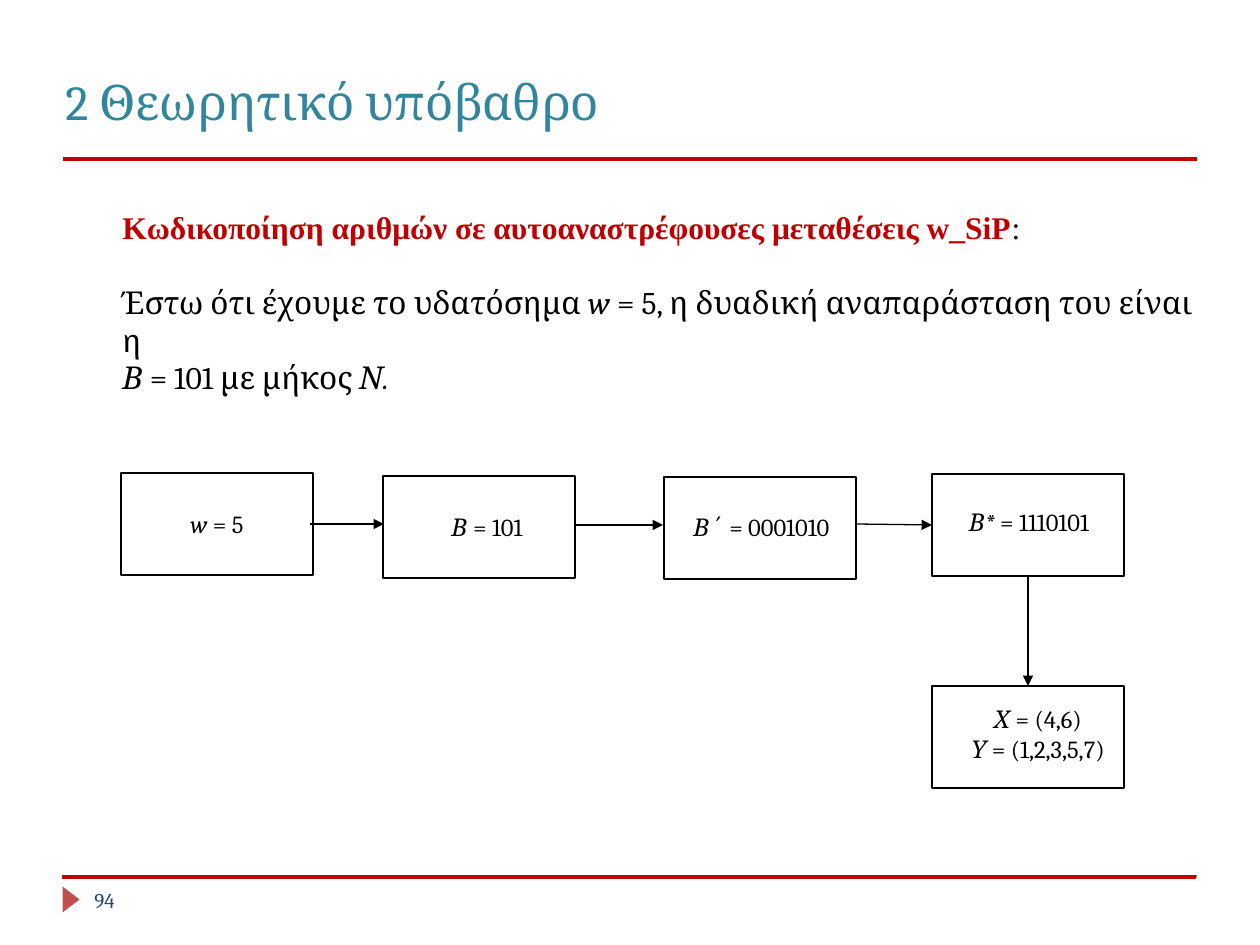
from lxml import etree
from pptx import Presentation
from pptx.dml.color import RGBColor
from pptx.enum.dml import MSO_LINE
from pptx.enum.shapes import MSO_CONNECTOR, MSO_SHAPE
from pptx.enum.text import MSO_ANCHOR, PP_ALIGN
from pptx.oxml.ns import qn
from pptx.util import Pt

PX = 914400 / 126
STRAIGHT = MSO_CONNECTOR.STRAIGHT
RECTANGLE, TRIANGLE = MSO_SHAPE.RECTANGLE, MSO_SHAPE.ISOSCELES_TRIANGLE
LEFT, CENTER, JUSTIFY = PP_ALIGN.LEFT, PP_ALIGN.CENTER, PP_ALIGN.JUSTIFY
TOP, BOTTOM = MSO_ANCHOR.TOP, MSO_ANCHOR.BOTTOM
DASH = MSO_LINE.DASH
BLACK, RED, BRICK, TEAL, NAVY = "000000", "C00000", "C0504D", "31859C", "1F497D"


def add_line(x1, y1, x2, y2, color, width, dash=None, arrow=False):
    ends = [round(value * PX) for value in (x1, y1, x2, y2)]
    connector = slide.shapes.add_connector(STRAIGHT, *ends)
    connector.line.color.rgb = RGBColor.from_string(color)
    connector.line.width = Pt(width)
    if dash:
        connector.line.dash_style = dash
    if arrow:
        etree.SubElement(connector.line._get_or_add_ln(), qn("a:tailEnd"), type="triangle")
    etree.SubElement(connector._element.spPr, qn("a:effectLst"))


def add_text(box, paragraphs, size, color, align=LEFT, anchor=TOP, font="Cambria"):
    """Each paragraph is a list of (text, italic) runs; None is a line break."""
    left, top, width, height = [round(value * PX) for value in box]
    frame = slide.shapes.add_textbox(left, top, width, height).text_frame
    frame.word_wrap = True
    frame.vertical_anchor = anchor
    for index, runs in enumerate(paragraphs):
        paragraph = frame.paragraphs[0] if index == 0 else frame.add_paragraph()
        paragraph.alignment = align
        for part in runs:
            if part is None:
                paragraph.add_line_break()
                continue
            run = paragraph.add_run()
            run.text, run.font.italic = part
            run.font.name = font
            run.font.size = Pt(size)
            run.font.color.rgb = RGBColor.from_string(color)
    return frame


presentation = Presentation()
presentation.slide_width = round(1260 * PX)
presentation.slide_height = round(945 * PX)
slide = presentation.slides.add_slide(presentation.slide_layouts[6])

# Rules above and below the content
for y in (876, 158):
    add_line(63, y, 1197, y, BRICK, 0.75, dash=DASH)
add_line(63, 159, 1197, 159, RED, 2.25)
add_line(62, 877, 1196, 877, RED, 2.25)

# Title
add_text((53, 26, 1023, 111), [[("2 Θεωρητικό υπόβαθρο", False)]], 28, TEAL, anchor=BOTTOM)

# Page number and its marker
marker = slide.shapes.add_shape(TRIANGLE, *[round(value * PX) for value in (58, 891, 26, 17)])
marker.rotation = 90
marker.shadow.inherit = False
marker.fill.solid()
marker.fill.fore_color.rgb = RGBColor.from_string(BRICK)
marker.line.fill.background()
add_text((82, 881, 194, 34), [[("94", False)]], 12, NAVY)

# Introduction
intro = add_text((110, 202, 1095, 165), [
    [("Kωδικοποίηση αριθμών σε αυτοαναστρέφουσες μεταθέσεις w_SiP", False), (":", False)],
    [("Έστω ότι έχουμε το υδατόσημα ", False), ("w", True),
     (" = 5, η δυαδική αναπαράσταση του είναι η", False), None,
     ("Β", True), (" = 101 με μήκος ", False), ("Ν.", True)],
], 18, BLACK)
heading, statement = intro.paragraphs
for run, color in zip(heading.runs, (RED, "0D0D0D")):
    run.font.name = "Times New Roman"
    run.font.color.rgb = RGBColor.from_string(color)
heading.runs[0].font.bold = True
statement.alignment = JUSTIFY
statement.space_before = Pt(21)

# Encoding steps: box corner, label frame, label paragraphs
steps = [
    ((121, 473), (121, 503, 192, 43), [[("w", True), (" = 5", False)]]),
    ((383, 476), (377, 506, 220, 43), [[("Β ", True), ("= 101", False)]]),
    ((664, 477), (660, 506, 203, 43), [[("Β΄ ", True), ("= 0001010", False)]]),
    ((932, 474), (901, 501, 256, 43), [[("Β* ", True), ("= 1110101", False)]]),
    ((932, 686), (920, 698, 236, 72), [[("Χ ", True), ("= (4,6)", False)],
                                       [("Υ", True), (" = (1,2,3,5,7)", False)]]),
]
for (x, y), label_box, label in steps:
    step = slide.shapes.add_shape(RECTANGLE, *[round(value * PX) for value in (x, y, 192, 102)])
    step.shadow.inherit = False
    step.fill.background()
    step.line.color.rgb = RGBColor.from_string(BLACK)
    step.line.width = Pt(0.75)
    add_text(label_box, label, 14, BLACK, align=CENTER)

# Arrows between the steps
for ends in ((310, 524, 384, 524), (575, 525, 663, 525),
             (856, 524, 932, 525), (1028, 576, 1028, 686)):
    add_line(*ends, BLACK, 0.75, arrow=True)

presentation.save("out.pptx")
